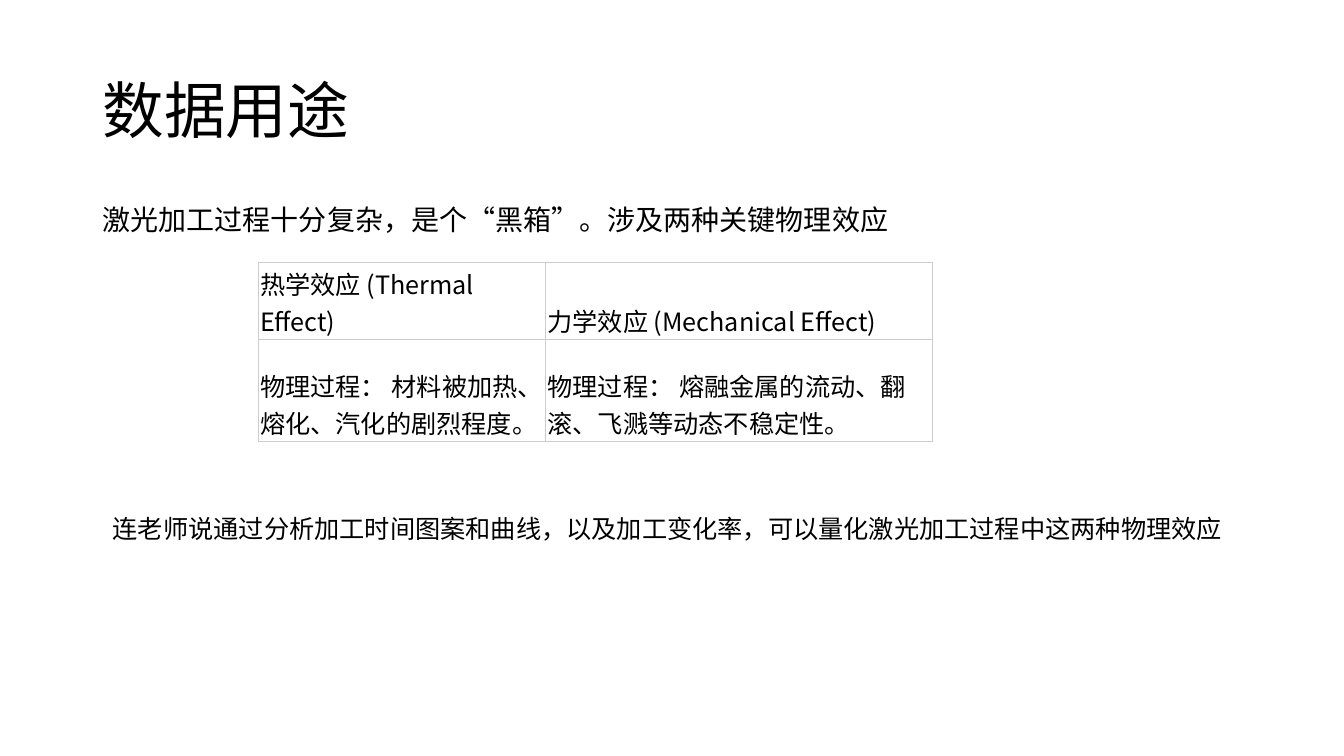
from dataclasses import dataclass

from lxml import etree
from pptx import Presentation
from pptx import util as u
from pptx.dml.color import RGBColor
from pptx.enum import text
from pptx.oxml import ns


@dataclass(frozen=True)
class Theme:
    font: str = "Noto Sans CJK SC"
    ink: RGBColor = RGBColor(0, 0, 0)
    border: str = "CCCCCC"
    title_size: int = 44
    lead_size: int = 20
    text_size: int = 18


theme = Theme()


def write(frame, words, size):
    """Put one paragraph in the frame, with Latin and East Asian fonts set."""
    frame.text = words
    paragraph = frame.paragraphs[0]
    for run in paragraph.runs:
        run.font.size = u.Pt(size)
        run.font.name = theme.font
        run.font.color.rgb = theme.ink
        properties = run.font._element
        properties.set("lang", "zh-CN")
        east_asian = etree.SubElement(properties, ns.qn("a:ea"))
        east_asian.set("typeface", theme.font)
    return paragraph


def add_borders(cell):
    properties = cell._tc.get_or_add_tcPr()
    for index, side in enumerate(("lnL", "lnR", "lnT", "lnB")):
        line = etree.Element(ns.qn(f"a:{side}"), w=str(u.Pt(0.5)))
        fill = etree.SubElement(line, ns.qn("a:solidFill"))
        etree.SubElement(fill, ns.qn("a:srgbClr"), val=theme.border)
        properties.insert(index, line)


presentation = Presentation()
presentation.slide_width = u.Inches(13.33)
presentation.slide_height = u.Inches(7.5)
slide = presentation.slides.add_slide(presentation.slide_layouts[6])

# Text: words, place, size, line spacing, anchor, wrap
top, middle = text.MSO_ANCHOR.TOP, text.MSO_ANCHOR.MIDDLE
text_boxes = [
    ("数据用途", (0.92, 0.4, 11.5, 1.45), theme.title_size, 0.9, middle, True),
    ("激光加工过程十分复杂，是个“黑箱”。涉及两种关键物理效应",
     (0.92, 2, 11.5, 4.76), theme.lead_size, 0.9, top, True),
    ("连老师说通过分析加工时间图案和曲线，以及加工变化率，可以量化激光加工过程中这两种物理效应",
     (1.02, 5.04, 11.31, 0.4), theme.text_size, 1.0, top, False),
]
for words, place, size, spacing, anchor, wrap in text_boxes:
    box = slide.shapes.add_textbox(*map(u.Inches, place))
    frame = box.text_frame
    frame.word_wrap = wrap
    frame.vertical_anchor = anchor
    write(frame, words, size).line_spacing = spacing

# Table of the two physical effects
effects = [
    ("热学效应 (Thermal Effect)", "力学效应 (Mechanical Effect)"),
    ("物理过程： 材料被加热、熔化、汽化的剧烈程度。",
     "物理过程： 熔融金属的流动、翻滚、飞溅等动态不稳定性。"),
]
column_widths = (2.85, 3.84)
row_heights = (0.77, 1.01)
table = slide.shapes.add_table(
    len(row_heights), len(column_widths), u.Inches(2.56), u.Inches(2.6),
    u.Inches(sum(column_widths)), u.Inches(sum(row_heights))).table
table.first_row = False
table.horz_banding = False
for column, width in zip(table.columns, column_widths):
    column.width = u.Inches(width)
for row, height, row_words in zip(table.rows, row_heights, effects):
    row.height = u.Inches(height)
    for cell, words in zip(row.cells, row_words):
        cell.fill.background()
        cell.vertical_anchor = text.MSO_ANCHOR.BOTTOM
        cell.margin_left = cell.margin_right = u.Inches(0.02)
        cell.margin_top = cell.margin_bottom = u.Inches(0.01)
        write(cell.text_frame, words, theme.text_size)
        add_borders(cell)

presentation.save("out.pptx")
